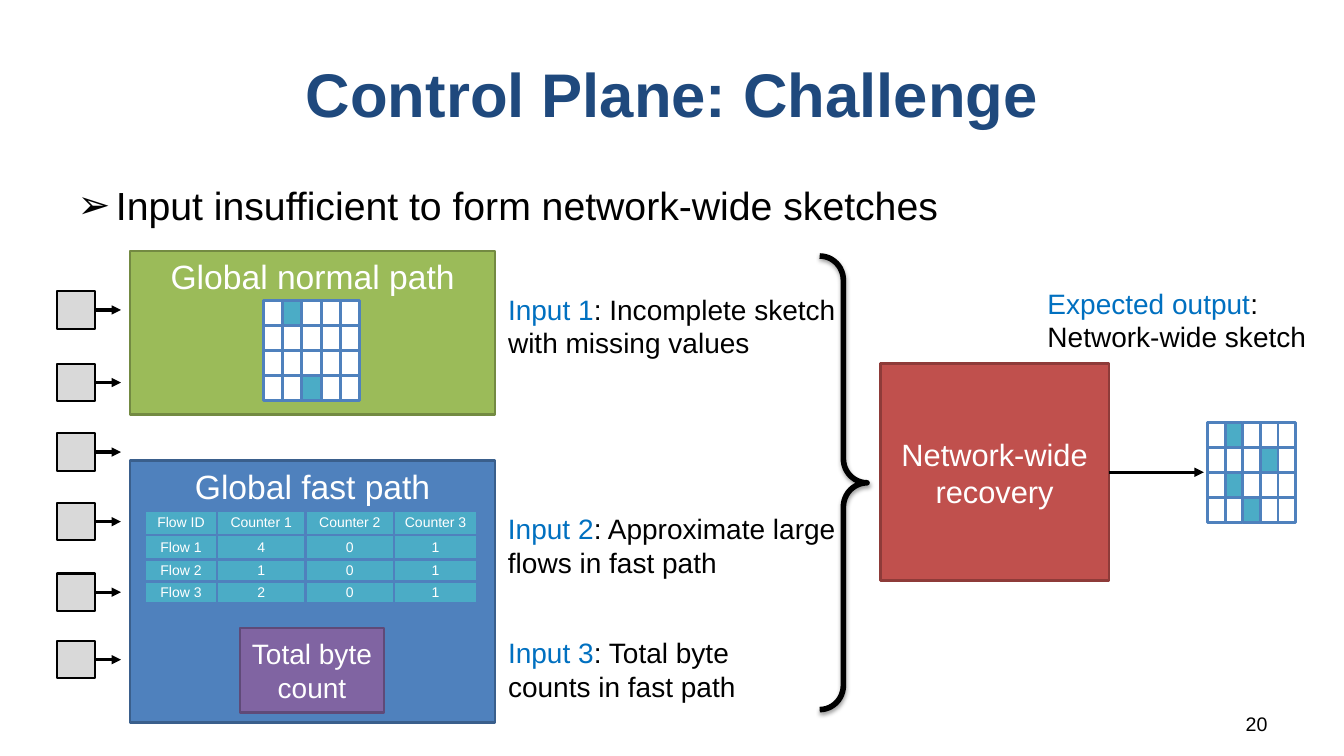
import lxml.etree
import pptx
import pptx.dml.color
import pptx.enum.shapes
import pptx.enum.text
import pptx.oxml.ns
import pptx.util

Inches = pptx.util.Inches
Pt = pptx.util.Pt
SHAPES = pptx.enum.shapes.MSO_SHAPE
ALIGN = pptx.enum.text.PP_ALIGN
ANCHOR = pptx.enum.text.MSO_ANCHOR

COLORS = {
    "black": "000000", "white": "FFFFFF", "title": "1F497D", "label": "0070C0",
    "gray": "D9D9D9", "green": "9BBB59", "green_edge": "738A42",
    "blue": "4F81BD", "blue_edge": "3A5F8C", "purple": "8064A2",
    "purple_edge": "5F4A78", "red": "C0504D", "red_edge": "8E3B39", "teal": "4BACC6",
}
SENDER_TOPS = [2.89, 3.61, 4.3, 4.99, 5.69, 6.36]
FLOWS = [
    ["Flow ID", "Counter 1", "Counter 2", "Counter 3"],
    ["Flow 1", "4", "0", "1"],
    ["Flow 2", "1", "0", "1"],
    ["Flow 3", "2", "0", "1"],
]
FLOW_COLUMNS = [0.71, 0.88, 0.88, 0.82]
FLOW_ROWS = [0.24, 0.24, 0.22, 0.22]
NOTES = [
    (4.94, 2.85, 3.51, "Input 1", ": Incomplete sketch with missing values"),
    (4.94, 5.03, 3.77, "Input 2", ": Approximate large\nflows in fast path"),
    (4.94, 6.26, 3.01, "Input 3", ": Total byte counts in fast path"),
    (10.29, 2.79, 3.11, "Expected output", ":\nNetwork-wide sketch"),
]


def rgb(name):
    return pptx.dml.color.RGBColor.from_string(COLORS[name])


def apply_format(target, values):
    for name, value in values.items():
        setattr(target, name, value)


def add_xml(parent, tag, **attributes):
    return lxml.etree.SubElement(parent, pptx.oxml.ns.qn(tag), attributes)


def add_run(paragraph, text, size, color, bold=False):
    run = paragraph.add_run()
    run.text = text
    apply_format(run.font, {"name": "Arial", "size": Pt(size), "bold": bold})
    run.font.color.rgb = rgb(color)


def set_line(line, color, width):
    line.color.rgb = rgb(color)
    line.width = Pt(width)


def place(shape, left, top, width, height):
    apply_format(shape, {
        "left": Inches(left), "top": Inches(top),
        "width": Inches(width), "height": Inches(height),
    })


def add_box(slide, left, top, width, height, fill, edge, line_width=2,
            text="", size=20, anchor=ANCHOR.MIDDLE):
    box = slide.shapes.add_shape(SHAPES.RECTANGLE, Inches(left), Inches(top),
                                 Inches(width), Inches(height))
    box.shadow.inherit = False
    box.fill.solid()
    box.fill.fore_color.rgb = rgb(fill)
    set_line(box.line, edge, line_width)
    if text:
        apply_format(box.text_frame, {"word_wrap": True, "vertical_anchor": anchor})
        paragraph = box.text_frame.paragraphs[0]
        paragraph.alignment = ALIGN.CENTER
        add_run(paragraph, text, size, "white")
    return box


def add_arrow(slide, source, end_x):
    middle = source.top + source.height // 2
    arrow = slide.shapes.add_connector(
        pptx.enum.shapes.MSO_CONNECTOR.STRAIGHT,
        source.left + source.width, middle, Inches(end_x), middle)
    arrow.begin_connect(source, 3)
    set_line(arrow.line, "black", 2.25)
    properties = arrow.element.spPr
    add_xml(properties.find(pptx.oxml.ns.qn("a:ln")), "a:tailEnd", type="triangle")
    add_xml(properties, "a:effectLst")


def add_sketch(slide, left, top, width, height, marked):
    cell_width, cell_height = width / 5, height / 4
    for row in range(4):
        for column in range(5):
            fill = "teal" if (row, column) in marked else "white"
            add_box(slide, left + column * cell_width, top + row * cell_height,
                    cell_width, cell_height, fill, "blue")


def add_flow_table(slide, left, top):
    table = slide.shapes.add_table(
        len(FLOWS), len(FLOW_COLUMNS), Inches(left), Inches(top),
        Inches(sum(FLOW_COLUMNS)), Inches(sum(FLOW_ROWS))).table
    apply_format(table, {"first_row": False, "horz_banding": False})
    for column, width in zip(table.columns, FLOW_COLUMNS):
        column.width = Inches(width)
    for row, height, values in zip(table.rows, FLOW_ROWS, FLOWS):
        row.height = Inches(height)
        for cell, value in zip(row.cells, values):
            format_flow_cell(cell, value)


def format_flow_cell(cell, value):
    apply_format(cell, {
        "margin_left": 0, "margin_right": 0, "margin_top": 0, "margin_bottom": 0,
        "vertical_anchor": ANCHOR.MIDDLE,
    })
    properties = cell._tc.get_or_add_tcPr()
    for side in ("a:lnL", "a:lnR", "a:lnT", "a:lnB"):
        border = add_xml(properties, side, w=str(Pt(2)))
        add_xml(add_xml(border, "a:solidFill"), "a:srgbClr", val=COLORS["blue"])
    cell.fill.solid()
    cell.fill.fore_color.rgb = rgb("teal")
    paragraph = cell.text_frame.paragraphs[0]
    paragraph.alignment = ALIGN.CENTER
    add_run(paragraph, value, 10, "white")


def add_text_box(slide, left, top, width, height):
    frame = slide.shapes.add_textbox(Inches(left), Inches(top),
                                     Inches(width), Inches(height)).text_frame
    frame.word_wrap = True
    return frame


def add_note(slide, left, top, width, label, text):
    frame = add_text_box(slide, left, top, width, 0.77)
    first, *others = text.split("\n")
    add_run(frame.paragraphs[0], label, 20, "label")
    add_run(frame.paragraphs[0], first, 20, "black")
    for line in others:
        add_run(frame.add_paragraph(), line, 20, "black")


def add_brace(slide):
    brace = slide.shapes.add_shape(SHAPES.RIGHT_BRACE, Inches(8.13), Inches(2.54),
                                   Inches(0.47), Inches(4.5))
    brace.adjustments[0] = 0.51
    brace.fill.background()
    set_line(brace.line, "black", 4)
    effects = add_xml(brace.element.spPr, "a:effectLst")
    shadow = add_xml(effects, "a:outerShdw", blurRad=str(Pt(3.1)), dist=str(Pt(1.6)),
                     dir="5400000", rotWithShape="0")
    color = add_xml(shadow, "a:srgbClr", val=COLORS["black"])
    add_xml(color, "a:alpha", val="38000")


def fill_placeholders(slide):
    title, body = slide.shapes.title, slide.placeholders[1]
    place(title, 0.67, 0.3, 12, 1.25)
    place(body, 0.67, 1.75, 12, 1.1)
    for shape, anchor in ((title, ANCHOR.MIDDLE), (body, ANCHOR.TOP)):
        apply_format(shape.text_frame, {
            "vertical_anchor": anchor, "word_wrap": True,
            "auto_size": pptx.enum.text.MSO_AUTO_SIZE.NONE,
        })
    heading = title.text_frame.paragraphs[0]
    heading.alignment = ALIGN.CENTER
    add_run(heading, "Control Plane: Challenge", 44, "title", True)
    bullet = body.text_frame.paragraphs[0]
    add_run(bullet, "Input insufficient to form network-wide sketches", 28, "black")
    properties = bullet._p.get_or_add_pPr()
    for name, length in {"marL": 0.38, "indent": -0.38}.items():
        properties.set(name, str(Inches(length)))
    add_xml(properties, "a:buFont", typeface="Arial")
    add_xml(properties, "a:buChar", char="➢")


def main():
    presentation = pptx.Presentation()
    apply_format(presentation, {"slide_width": Inches(13.33), "slide_height": Inches(7.5)})
    slide = presentation.slides.add_slide(presentation.slide_layouts[1])
    fill_placeholders(slide)

    for top in SENDER_TOPS:
        sender = add_box(slide, 0.57, top, 0.37, 0.37, "gray", "black", 1.5)
        add_arrow(slide, sender, 1.2)

    add_box(slide, 1.29, 2.49, 3.62, 1.62, "green", "green_edge",
            text="Global normal path", size=24, anchor=ANCHOR.TOP)
    add_sketch(slide, 2.61, 2.98, 0.96, 0.99, {(0, 1), (3, 2)})
    add_box(slide, 1.29, 4.57, 3.62, 2.6, "blue", "blue_edge",
            text="Global fast path", size=24, anchor=ANCHOR.TOP)
    add_flow_table(slide, 1.44, 5.07)
    add_box(slide, 2.38, 6.23, 1.43, 0.84, "purple", "purple_edge",
            text="Total byte count")
    recovery = add_box(slide, 8.73, 3.61, 2.27, 2.15, "red", "red_edge",
                       text="Network-wide recovery", size=22)
    add_sketch(slide, 11.98, 4.19, 0.87, 0.99, {(0, 1), (1, 3), (2, 1), (3, 2)})
    add_arrow(slide, recovery, 11.94)
    add_brace(slide)
    for note in NOTES:
        add_note(slide, *note)

    number = add_text_box(slide, 9.56, 7, 3.11, 0.35)
    number.vertical_anchor = ANCHOR.MIDDLE
    number.paragraphs[0].alignment = ALIGN.RIGHT
    add_run(number.paragraphs[0], "20", 14, "black")
    presentation.save("out.pptx")


if __name__ == "__main__":
    main()
